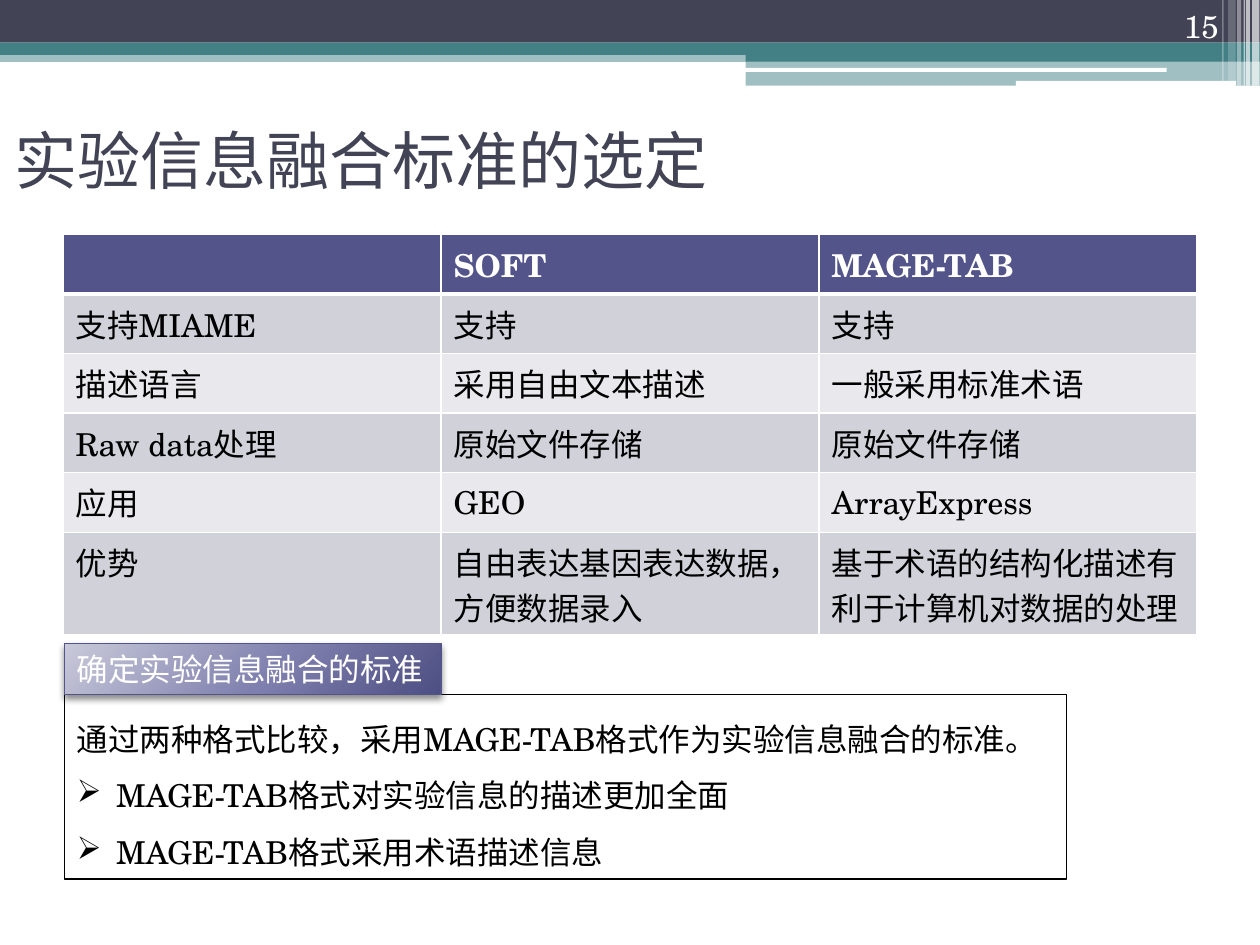
from lxml import etree
from pptx import Presentation
from pptx.dml.color import RGBColor
from pptx.enum import shapes, text
from pptx.oxml import parse_xml
from pptx.oxml.ns import nsdecls, qn
from pptx.util import Cm, Pt

WHITE = RGBColor(0xFF, 0xFF, 0xFF)
BLACK = RGBColor(0, 0, 0)
SLATE = RGBColor(0x42, 0x44, 0x56)
TEAL = RGBColor(0x43, 0x80, 0x86)
INDIGO = RGBColor(0x53, 0x54, 0x8A)
BANDS = [RGBColor(0xD1, 0xD1, 0xDA), RGBColor(0xE9, 0xE9, 0xED)]
GRADIENT = [(0, RGBColor(0xC9, 0xC9, 0xDA)), (55, RGBColor(0x7F, 0x80, 0xAE)),
            (100, RGBColor(0x4D, 0x4E, 0x81))]

TITLE_FONT, BODY_FONT = "Karla", "TeX Gyre Schola"
BOX = shapes.MSO_SHAPE.RECTANGLE
ROUNDED = shapes.MSO_SHAPE.ROUNDED_RECTANGLE

# kind, left, top, width, height (cm), colour, opacity (%)
HEADER_BARS = [
    (BOX, 0, 1.02, 25.4, 0.23, TEAL, 50),
    (BOX, 0, 0, 25.4, 0.86, SLATE, 100),
    (BOX, 0, 0.86, 25.4, 0.25, TEAL, 100),
    (BOX, 15.03, 0.99, 10.37, 0.25, TEAL, 100),
    (BOX, 15.03, 1.23, 10.37, 0.5, TEAL, 50),
    (ROUNDED, 15.01, 1.37, 8.51, 0.08, WHITE, 100),
    (ROUNDED, 20.48, 1.63, 4.44, 0.1, WHITE, 100),
]
# left, width, height (cm), opacity (%)
STRIPES = [
    (25.24, 0.15, 1.73, 65), (25.12, 0.08, 1.73, 65), (25.07, 0.03, 1.73, 60),
    (24.94, 0.08, 1.73, 40), (24.76, 0.15, 1.63, 20), (24.64, 0.03, 1.63, 30),
]

TITLE = "实验信息融合标准的选定"
PAGE_NUMBER = "15"
COMPARISON = [
    ("", "SOFT", "MAGE-TAB"),
    ("支持MIAME", "支持", "支持"),
    ("描述语言", "采用自由文本描述", "一般采用标准术语"),
    ("Raw data处理", "原始文件存储", "原始文件存储"),
    ("应用", "GEO", "ArrayExpress"),
    ("优势", "自由表达基因表达数据，方便数据录入", "基于术语的结构化描述有利于计算机对数据的处理"),
]
ROW_HEIGHTS = [1.2] * 5 + [2.07]
CONCLUSION_LABEL = "确定实验信息融合的标准"
CONCLUSION = ["通过两种格式比较，采用MAGE-TAB格式作为实验信息融合的标准。"]
REASONS = ["MAGE-TAB格式对实验信息的描述更加全面", "MAGE-TAB格式采用术语描述信息"]


def add_bar(slide, kind, left, top, width, height, color, opacity=100):
    shape = slide.shapes.add_shape(kind, Cm(left), Cm(top), Cm(width), Cm(height))
    shape.shadow.inherit = False
    shape.fill.solid()
    shape.fill.fore_color.rgb = color
    shape.line.fill.background()
    if opacity < 100:
        color_element = shape._element.spPr.find(qn("a:solidFill"))[0]
        etree.SubElement(color_element, qn("a:alpha"), val=str(opacity * 1000))


def add_panel(slide, left, top, width, height, line_color):
    """Add an unfilled, outlined rectangle that grows with its text."""
    shape = slide.shapes.add_shape(BOX, Cm(left), Cm(top), Cm(width), Cm(height))
    shape.shadow.inherit = False
    shape.fill.background()
    shape.line.color.rgb = line_color
    shape.line.width = Pt(0.75)
    shape.text_frame.auto_size = text.MSO_AUTO_SIZE.SHAPE_TO_FIT_TEXT
    return shape


def write_text(frame, lines, size=18, font=BODY_FONT, color=BLACK, bold=False,
               align=text.PP_ALIGN.LEFT, anchor=text.MSO_ANCHOR.TOP,
               spacing=None, bullets_from=None):
    frame.word_wrap = True
    frame.vertical_anchor = anchor
    for index, line in enumerate(lines):
        paragraph = frame.paragraphs[0] if index == 0 else frame.add_paragraph()
        paragraph.alignment = align
        if spacing:
            paragraph.line_spacing = spacing
        if bullets_from is not None and index >= bullets_from:
            properties = paragraph._p.get_or_add_pPr()
            properties.set("marL", str(Cm(0.79)))
            properties.set("indent", str(-Cm(0.79)))
            # In Wingdings this letter draws an arrowhead
            etree.SubElement(properties, qn("a:buFont"), typeface="Wingdings")
            etree.SubElement(properties, qn("a:buChar"), char="Ø")
        paragraph.font.size = Pt(size)
        run = paragraph.add_run()
        run.text = line
        run.font.size = Pt(size)
        run.font.name = font
        run.font.bold = bold
        run.font.color.rgb = color


def add_text_box(slide, left, top, width, height, content, **style):
    box = slide.shapes.add_textbox(Cm(left), Cm(top), Cm(width), Cm(height))
    write_text(box.text_frame, [content], **style)


def set_borders(cell, top_width, bottom_width):
    properties = cell._tc.get_or_add_tcPr()
    for side, width in (("L", 1), ("R", 1), ("T", top_width), ("B", bottom_width)):
        properties.append(parse_xml(
            f'<a:ln{side} {nsdecls("a")} w="{Pt(width)}"><a:solidFill>'
            f'<a:srgbClr val="{WHITE}"/></a:solidFill></a:ln{side}>'))


def add_comparison(slide):
    rows, columns = len(COMPARISON), len(COMPARISON[0])
    table = slide.shapes.add_table(rows, columns, Cm(1.27), Cm(4.73),
                                   Cm(22.86), Cm(sum(ROW_HEIGHTS))).table
    for row, values in enumerate(COMPARISON):
        table.rows[row].height = Cm(ROW_HEIGHTS[row])
        header = row == 0
        for column, value in enumerate(values):
            cell = table.cell(row, column)
            set_borders(cell, 3 if row == 1 else 1, 3 if header else 1)
            cell.fill.solid()
            cell.fill.fore_color.rgb = INDIGO if header else BANDS[(row - 1) % 2]
            if value:
                write_text(cell.text_frame, [value], bold=header,
                           color=WHITE if header else BLACK)


def add_glow_and_shadow(shape):
    """Give the shape a radial gradient and a soft shadow below it."""
    stops = "".join(f'<a:gs pos="{place * 1000}"><a:srgbClr val="{color}"/></a:gs>'
                    for place, color in GRADIENT)
    gradient = parse_xml(
        f'<a:gradFill {nsdecls("a")} rotWithShape="1"><a:gsLst>{stops}</a:gsLst>'
        '<a:path path="circle"><a:fillToRect l="-40000" t="-90000" r="140000" '
        'b="190000"/></a:path></a:gradFill>')
    properties = shape._element.spPr
    properties.replace(properties.find(qn("a:noFill")), gradient)
    properties.find(qn("a:effectLst")).append(parse_xml(
        f'<a:outerShdw {nsdecls("a")} blurRad="{Pt(4)}" dist="{Pt(2)}" dir="5400000" '
        f'rotWithShape="0"><a:srgbClr val="{BLACK}"><a:alpha val="45000"/>'
        '</a:srgbClr></a:outerShdw>'))


def main():
    presentation = Presentation()
    presentation.slide_width, presentation.slide_height = Cm(25.4), Cm(19.05)
    slide = presentation.slides.add_slide(presentation.slide_layouts[6])

    for bar in HEADER_BARS:
        add_bar(slide, *bar)
    for left, width, height, opacity in STRIPES:
        add_bar(slide, BOX, left, 0, width, height, WHITE, opacity)

    add_text_box(slide, 0.05, 1.73, 22.86, 2.97, TITLE, size=36, font=TITLE_FONT,
                 color=SLATE, anchor=text.MSO_ANCHOR.MIDDLE)
    add_comparison(slide)
    add_text_box(slide, 22.71, 0, 2.11, 1.02, PAGE_NUMBER, color=WHITE,
                 align=text.PP_ALIGN.RIGHT, anchor=text.MSO_ANCHOR.BOTTOM)

    panel = add_panel(slide, 1.3, 14, 20.2, 3.72, BLACK)
    write_text(panel.text_frame, CONCLUSION + REASONS, spacing=1.5,
               bullets_from=len(CONCLUSION))
    label = add_panel(slide, 1.3, 12.98, 7.59, 1.02, INDIGO)
    add_glow_and_shadow(label)
    write_text(label.text_frame, [CONCLUSION_LABEL], color=WHITE)

    presentation.save("out.pptx")


if __name__ == "__main__":
    main()
